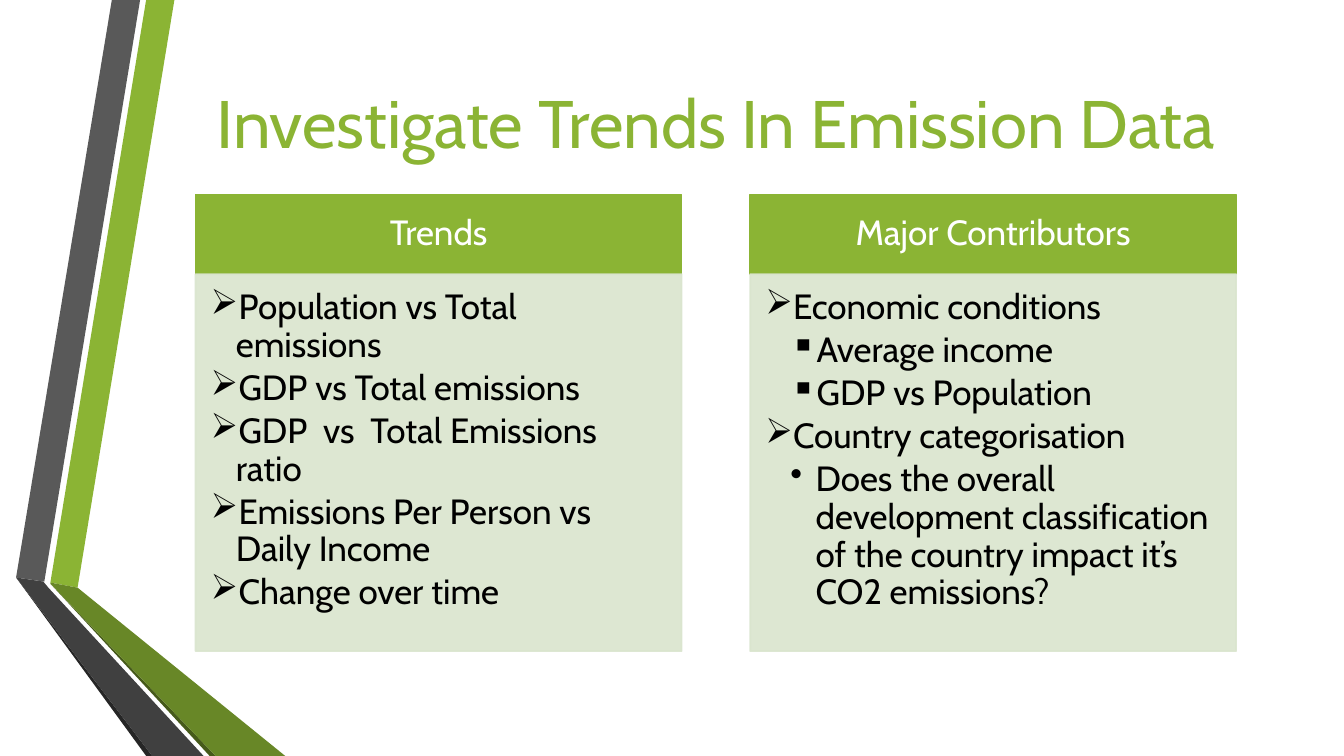
from lxml import etree
from pptx import Presentation
from pptx.dml.color import RGBColor
from pptx.enum import shapes, text
from pptx.oxml import ns
from pptx.util import Inches, Pt

GREEN = RGBColor(0x8B, 0xB4, 0x34)
OLIVE = RGBColor(0x68, 0x87, 0x27)
MOSS = RGBColor(0x46, 0x5A, 0x1A)
GRAY = RGBColor(0x59, 0x59, 0x59)
DARK = RGBColor(0x40, 0x40, 0x40)
COAL = RGBColor(0x26, 0x26, 0x26)
PALE = RGBColor(0xDA, 0xE5, 0xCE)
WHITE = RGBColor(0xFF, 0xFF, 0xFF)
BLACK = RGBColor(0, 0, 0)
FONT = "Cabin"

BANDS = [
    (GREEN, [(0.5, 5.78), (0.77, 5.83), (1.73, 0), (1.45, 0)]),
    (GRAY, [(1.39, 0), (1.11, 0), (0.16, 5.73), (0.44, 5.77)]),
    (COAL, [(0.16, 5.73), (1.45, 7.5), (1.51, 7.5)]),
    (MOSS, [(0.5, 5.79), (2.08, 7.5), (2.14, 7.5)]),
    (OLIVE, [(0.5, 5.79), (2.14, 7.5), (2.83, 7.5), (0.77, 5.83), (0.5, 5.78)]),
    (DARK, [(2.02, 7.5), (0.48, 5.83), (0.43, 5.77), (0.16, 5.73), (1.51, 7.5)]),
]
ARROW, SQUARE, DOT = "➢", "▪", "•"
CARDS = [
    ("Trends", [
        (1, ARROW, "Population vs Total emissions"),
        (1, ARROW, "GDP vs Total emissions"),
        (1, ARROW, "GDP  vs  Total Emissions ratio"),
        (1, ARROW, "Emissions Per Person vs Daily Income"),
        (1, ARROW, "Change over time"),
    ]),
    ("Major Contributors", [
        (1, ARROW, "Economic conditions"),
        (2, SQUARE, "Average income"),
        (2, SQUARE, "GDP vs Population"),
        (1, ARROW, "Country categorisation"),
        (2, DOT, "Does the overall development classification of the country "
                 "impact it’s CO2 emissions?"),
    ]),
]


def style(para, size, color):
    para.font.name = FONT
    para.font.size = Pt(size)
    para.font.color.rgb = color


def fade(fill, share):
    for color in fill.iter(ns.qn("a:srgbClr")):
        etree.SubElement(color, ns.qn("a:alpha"), val=str(share * 1000))


def bullet(para, level, mark):
    props = para._p.get_or_add_pPr()
    props.set("marL", str(Inches(0.25 * level)))
    props.set("indent", str(Inches(-0.25)))
    tint = etree.SubElement(props, ns.qn("a:buClr"))
    etree.SubElement(tint, ns.qn("a:srgbClr"), val=str(BLACK))
    etree.SubElement(props, ns.qn("a:buChar"), char=mark)


def add_bands(slide, left, top):
    for color, points in BANDS:
        spots = [(Inches(left + x), Inches(top + y)) for x, y in points]
        pen = slide.shapes.build_freeform(*spots[0])
        pen.add_line_segments(spots[1:], close=True)
        band = pen.convert_to_shape()
        band.shadow.inherit = False
        band.fill.solid()
        band.fill.fore_color.rgb = color
        band.line.fill.background()


def add_title(slide, words, left, top, width, height):
    box = slide.shapes.add_textbox(
        Inches(left), Inches(top), Inches(width), Inches(height))
    frame = box.text_frame
    frame.word_wrap = True
    frame.vertical_anchor = text.MSO_ANCHOR.MIDDLE
    para = frame.paragraphs[0]
    para.text = words
    para.alignment = text.PP_ALIGN.CENTER
    style(para, 48, GREEN)


def add_panel(slide, color, insets, anchor, left, top, width, height):
    panel = slide.shapes.add_shape(
        shapes.MSO_SHAPE.RECTANGLE,
        Inches(left), Inches(top), Inches(width), Inches(height))
    panel.shadow.inherit = False
    panel.fill.solid()
    panel.fill.fore_color.rgb = color
    panel.line.color.rgb = color
    panel.line.width = Pt(1.25)
    frame = panel.text_frame
    frame.word_wrap = True
    frame.vertical_anchor = anchor
    (frame.margin_left, frame.margin_top,
     frame.margin_right, frame.margin_bottom) = map(Inches, insets)
    return panel


def add_card(slide, head, items, left, top, width, height):
    bar = 0.79
    panel = add_panel(slide, GREEN, (0.19, 0.11, 0.19, 0.11),
                      text.MSO_ANCHOR.MIDDLE, left, top, width, bar)
    para = panel.text_frame.paragraphs[0]
    para.text = head
    para.alignment = text.PP_ALIGN.CENTER
    para.line_spacing = 0.9
    style(para, 25, WHITE)

    panel = add_panel(slide, PALE, (0.15, 0.15, 0.19, 0.22),
                      text.MSO_ANCHOR.TOP, left, top + bar, width, height - bar)
    fade(panel._element.spPr, 90)
    frame = panel.text_frame
    for i, (level, mark, words) in enumerate(items):
        para = frame.add_paragraph() if i else frame.paragraphs[0]
        para.text = words
        para.level = level
        para.alignment = text.PP_ALIGN.LEFT
        para.line_spacing = 0.9
        para.space_after = Pt(3.75)
        bullet(para, level, mark)
        style(para, 25, BLACK)


def main():
    deck = Presentation()
    deck.slide_width = Inches(13.33)
    deck.slide_height = Inches(7.5)
    slide = deck.slides.add_slide(deck.slide_layouts[6])
    add_bands(slide, 0, 0)
    add_title(slide, "Investigate Trends In Emission Data", 1.62, 0.25, 10.96, 1.92)
    for i, (head, items) in enumerate(CARDS):
        add_card(slide, head, items, 1.94 + 5.5 * i, 1.93, 4.82, 4.53)
    deck.save("out.pptx")


if __name__ == "__main__":
    main()
